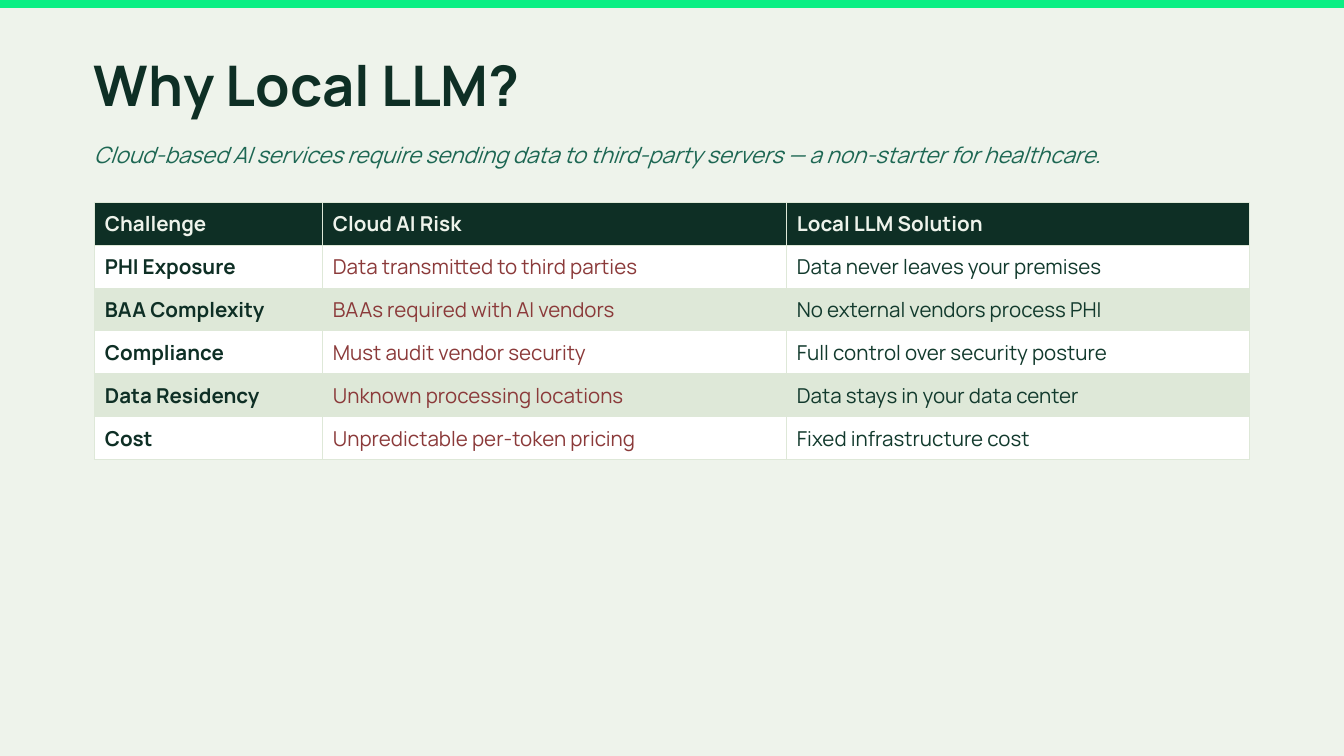
from lxml.etree import SubElement as Sub
from pptx import Presentation
from pptx.dml.color import RGBColor as RGB
from pptx.enum.shapes import MSO_SHAPE as Shape
from pptx.enum.text import MSO_ANCHOR as Anchor
from pptx.oxml.ns import qn
from pptx.util import Pt

SCALE = 9144000 / 1344
FONT = "Manrope"
HUES = {
    "page": "EEF3EB",
    "bar": "0AEF84",
    "dark": "0E2F25",
    "teal": "1D6753",
    "risk": "8B3A3A",
    "body": "123A2D",
    "white": "FFFFFF",
    "sage": "DEE8D8",
}
COLS = [228, 464, 464]
ROWS = [
    ("Challenge", "Cloud AI Risk", "Local LLM Solution"),
    ("PHI Exposure", "Data transmitted to third parties", "Data never leaves your premises"),
    ("BAA Complexity", "BAAs required with AI vendors", "No external vendors process PHI"),
    ("Compliance", "Must audit vendor security", "Full control over security posture"),
    ("Data Residency", "Unknown processing locations", "Data stays in your data center"),
    ("Cost", "Unpredictable per-token pricing", "Fixed infrastructure cost"),
]


def px(n):
    return round(n * SCALE)


def paint(fill, hue):
    fill.solid()
    fill.fore_color.rgb = RGB.from_string(HUES[hue])


def add_run(para, text, size, hue, bold=False, italic=False):
    run = para.add_run()
    run.text = text
    font = run.font
    font.name, font.size = FONT, Pt(size)
    font.bold, font.italic = bold, italic
    font.color.rgb = RGB.from_string(HUES[hue])


def add_bar(slide, x, y, w, h, hue):
    bar = slide.shapes.add_shape(Shape.RECTANGLE, px(x), px(y), px(w), px(h))
    bar.shadow.inherit = False
    paint(bar.fill, hue)
    bar.line.fill.background()


def add_text(slide, x, y, w, h, text, size, hue, **style):
    frame = slide.shapes.add_textbox(px(x), px(y), px(w), px(h)).text_frame
    frame.word_wrap = True
    frame.vertical_anchor = Anchor.MIDDLE
    frame.margin_left = frame.margin_right = 0
    frame.margin_top = frame.margin_bottom = 0
    add_run(frame.paragraphs[0], text, size, hue, **style)


def add_edges(cell, hue, width):
    props = cell._tc.get_or_add_tcPr()
    for spot, side in enumerate(("lnL", "lnR", "lnT", "lnB")):
        line = props.makeelement(qn(f"a:{side}"), {"w": str(Pt(width))})
        fill = Sub(line, qn("a:solidFill"))
        Sub(fill, qn("a:srgbClr"), val=HUES[hue])
        props.insert(spot, line)


def fill_cell(cell, text, back, hue, bold):
    cell.margin_left = cell.margin_right = px(11)
    cell.margin_top = cell.margin_bottom = px(8)
    cell.vertical_anchor = Anchor.MIDDLE
    paint(cell.fill, back)
    add_edges(cell, "sage", 0.5)
    add_run(cell.text_frame.paragraphs[0], text, 11, hue, bold)


def add_grid(slide, x, y, high):
    frame = slide.shapes.add_table(
        len(ROWS), len(COLS), px(x), px(y), px(sum(COLS)), px(high * len(ROWS)))
    table = frame.table
    for col, wide in zip(table.columns, COLS):
        col.width = px(wide)
    for r, texts in enumerate(ROWS):
        table.rows[r].height = px(high)
        back = "dark" if r == 0 else ("sage", "white")[r % 2]
        for c, text in enumerate(texts):
            hue = "page" if r == 0 else ("dark", "risk", "body")[c]
            fill_cell(table.cell(r, c), text, back, hue, r == 0 or c == 0)


def main():
    deck = Presentation()
    deck.slide_width, deck.slide_height = px(1344), px(756)
    slide = deck.slides.add_slide(deck.slide_layouts[6])
    paint(slide.background.fill, "page")
    add_bar(slide, 0, 0, 1344, 8, "bar")
    add_text(slide, 94, 47, 1075, 74, "Why Local LLM?", 30, "dark", bold=True)
    add_text(
        slide, 94, 128, 1156, 54,
        "Cloud-based AI services require sending data to third-party servers"
        " — a non-starter for healthcare.",
        12, "teal", italic=True)
    add_grid(slide, 94, 202, 43)
    deck.save("out.pptx")


if __name__ == "__main__":
    main()
